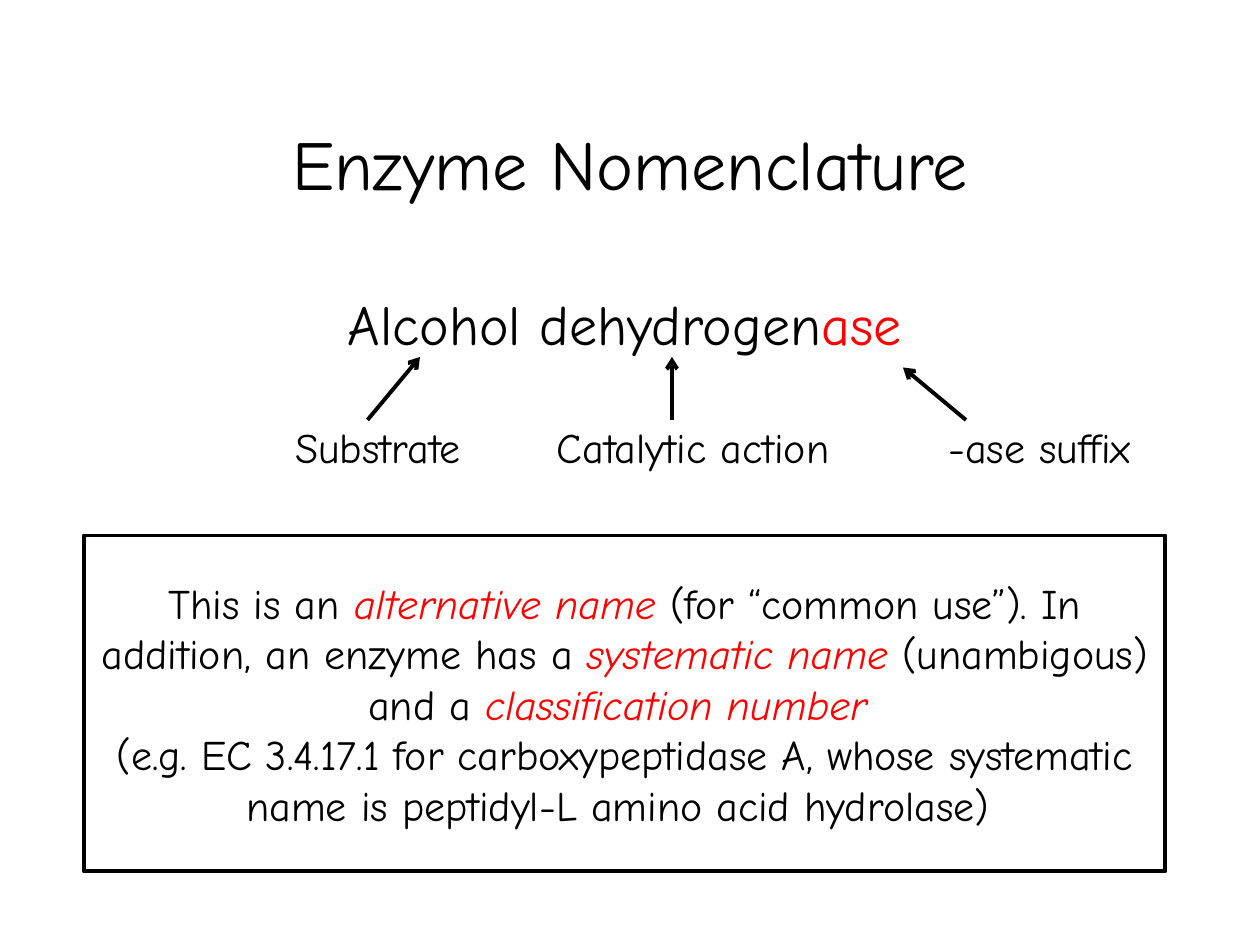
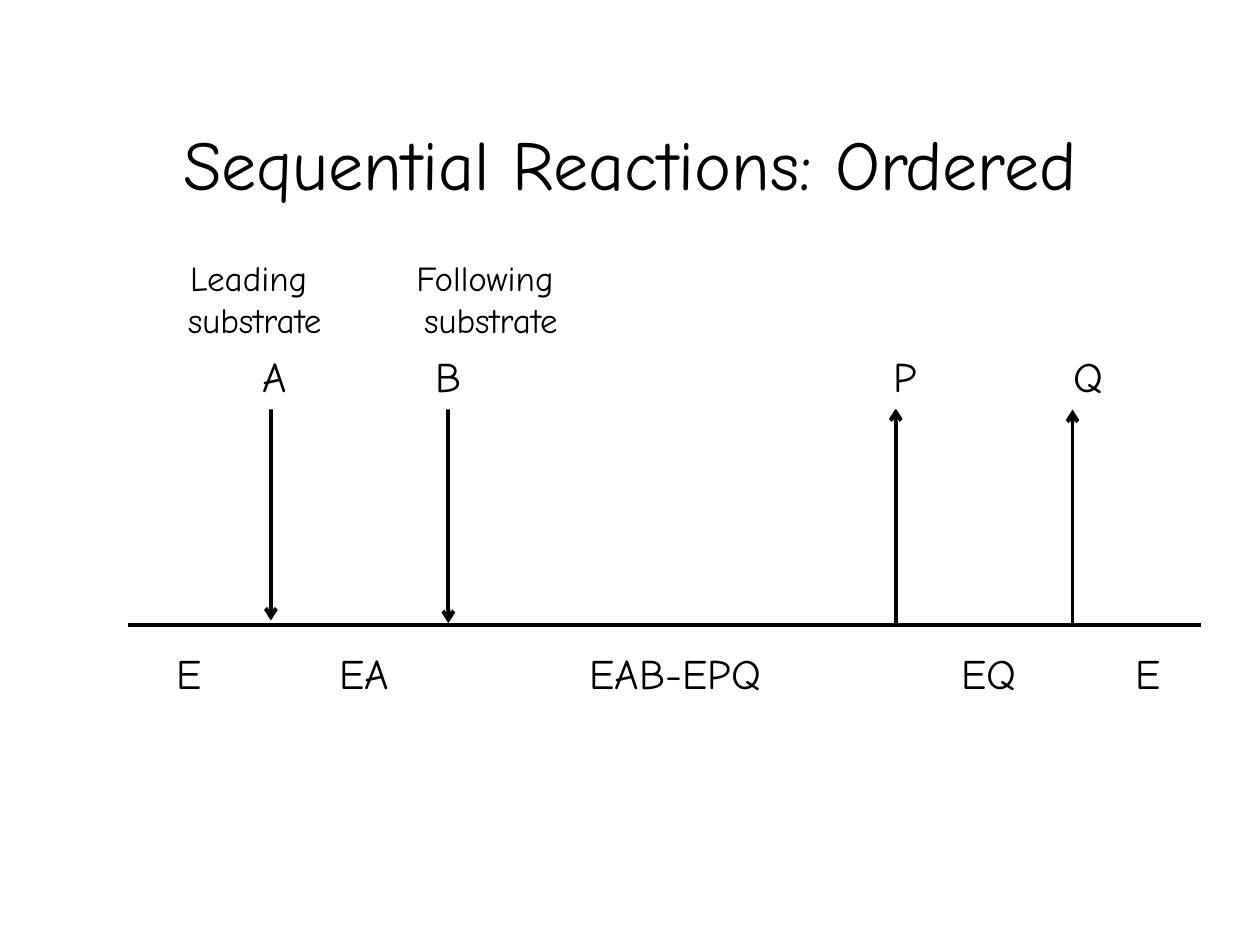
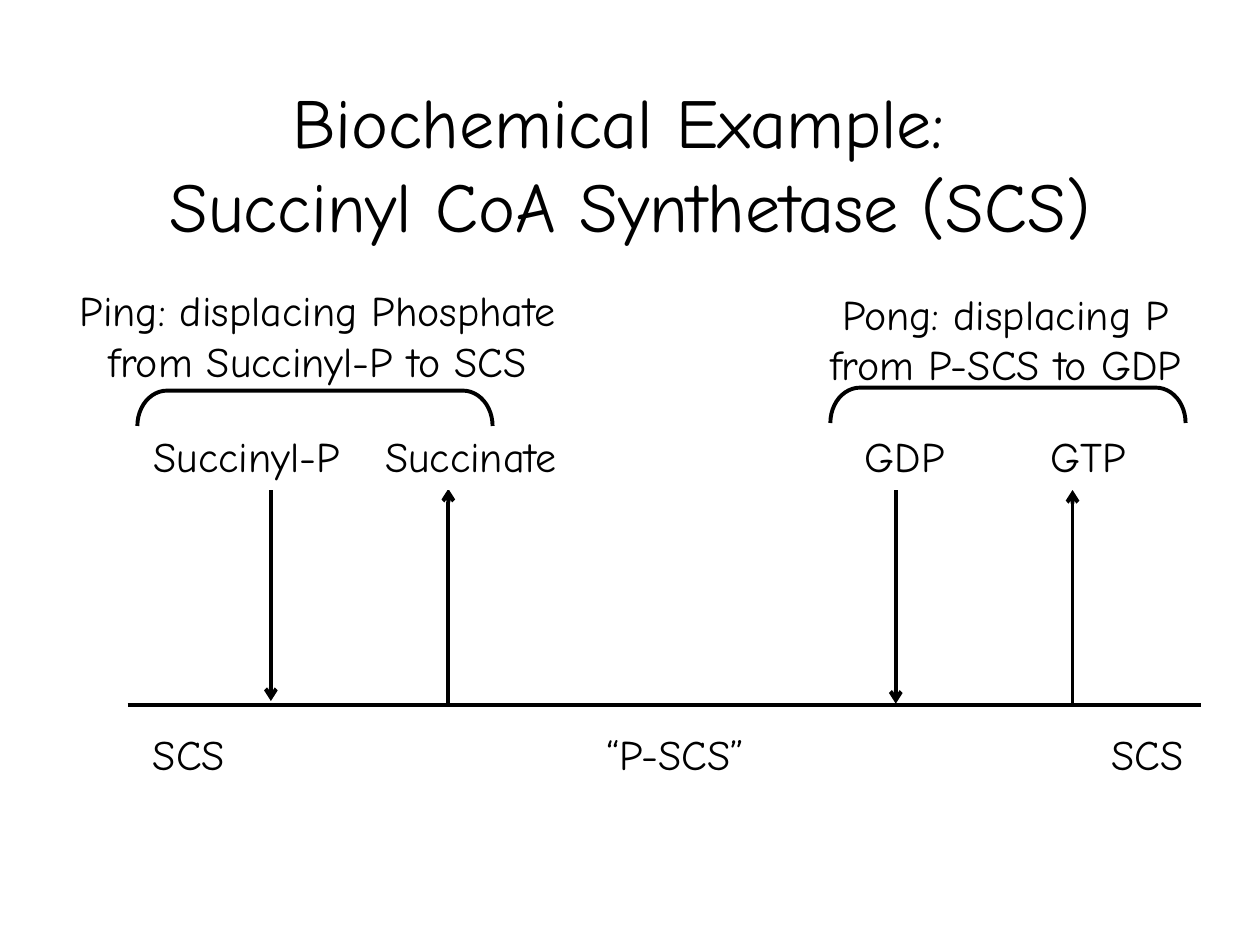
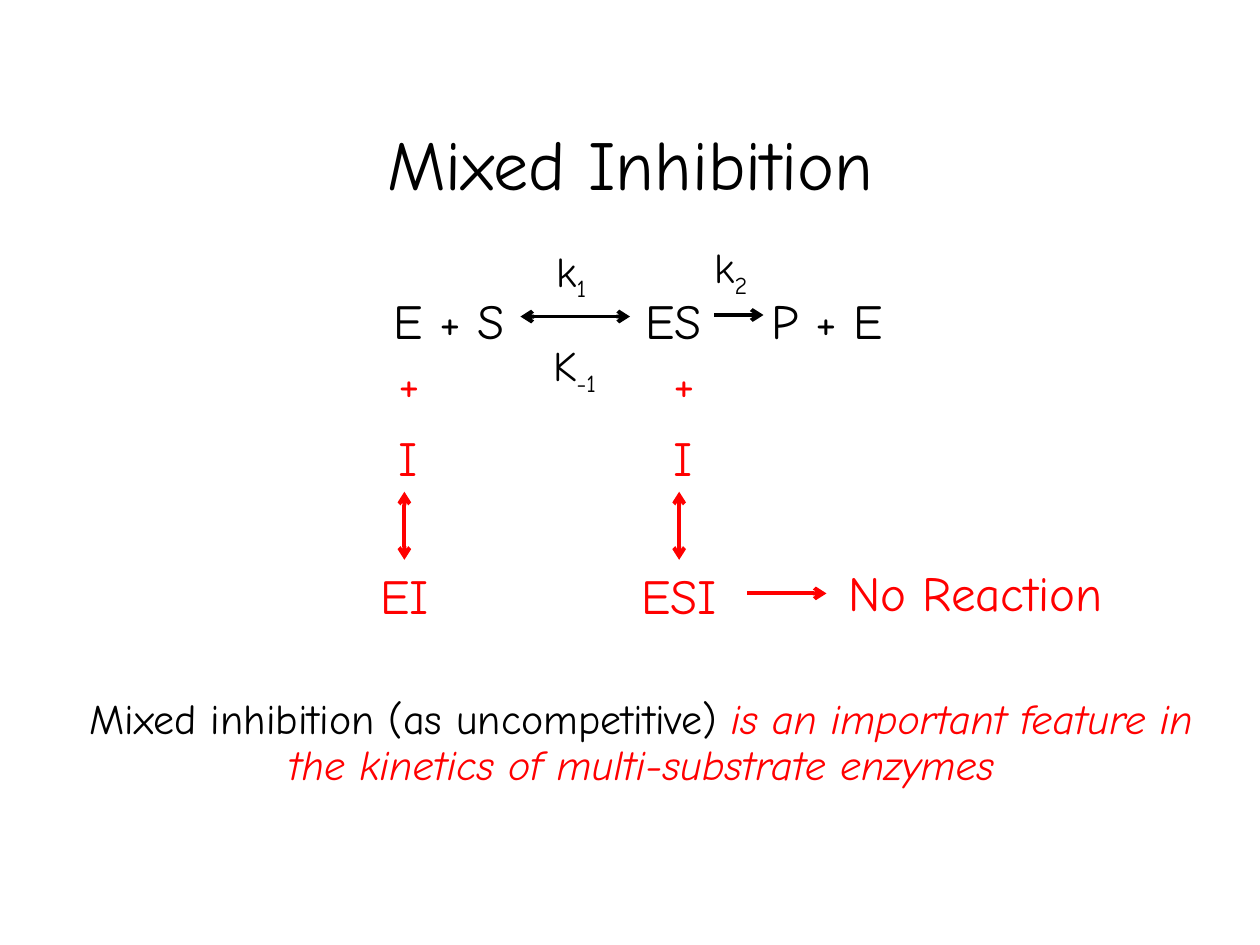
from dataclasses import dataclass
from math import cos, pi, sin

from pptx import Presentation
from pptx.dml.color import RGBColor
from pptx.enum.shapes import MSO_CONNECTOR, MSO_SHAPE
from pptx.enum.text import MSO_ANCHOR, MSO_AUTO_SIZE, PP_ALIGN
from pptx.oxml.ns import qn
from pptx.util import Pt
from lxml.etree import SubElement

COLORS = {"ink": "000000", "accent": "FF0000", "paper": "FFFFFF"}
FONT = "Comic Neue"
LINE_WIDTH = 2.25
TITLE_BOX = (54, 48, 612, 90)
LABEL_W, LABEL_H = 56.2, 38.9

Box = tuple[float, float, float, float]
Point = tuple[float, float]


@dataclass
class Run:
    text: str
    color: str = "ink"
    italic: bool = False
    subscript: bool = False


@dataclass
class Label:
    x: float
    text: str


@dataclass
class Station:
    """Arrow over the reaction line: its x and the rise of its top."""
    x: float
    rise: float


STATIONS = [Station(154.8, 125.3), Station(256.2, 123.8),
            Station(511.9, 123.8), Station(612.9, 123.1)]
ARROW_LENGTH = 122.8


def rgb(name: str) -> RGBColor:
    return RGBColor.from_string(COLORS[name])


def emphasis(text: str) -> Run:
    return Run(text, color="accent", italic=True)


def add_text(slide, box: Box, text: str | list[Run], *, size: float = 24,
             color: str = "ink", filled: bool = False, border: bool = False,
             wrap: bool = False, grow: bool = False, anchor=MSO_ANCHOR.MIDDLE,
             before: float = 0, spacing: float = 1.0, tabs: int = 0):
    """Centred text, in a plain text box or in a filled rectangle."""
    left, top, width, height = (Pt(v) for v in box)
    if filled:
        sp = slide.shapes.add_shape(MSO_SHAPE.RECTANGLE, left, top, width, height)
        sp.shadow.inherit = False
        sp.fill.solid()
        sp.fill.fore_color.rgb = rgb("paper")
        if border:
            sp.line.color.rgb = rgb("ink")
            sp.line.width = Pt(LINE_WIDTH)
        else:
            sp.line.fill.background()
    else:
        sp = slide.shapes.add_textbox(left, top, width, height)
    tf = sp.text_frame
    tf.word_wrap = wrap
    tf.vertical_anchor = anchor
    if grow:
        tf.auto_size = MSO_AUTO_SIZE.SHAPE_TO_FIT_TEXT
    p = tf.paragraphs[0]
    p.alignment = PP_ALIGN.CENTER
    p.space_before = Pt(before)
    p.line_spacing = spacing
    if tabs:
        tab_list = SubElement(p._p.get_or_add_pPr(), qn("a:tabLst"))
        for i in range(tabs):
            SubElement(tab_list, qn("a:tab"), pos=str(Pt(72 * i)), algn="l")
    runs = [Run(text, color)] if isinstance(text, str) else text
    for run in runs:
        for i, line in enumerate(run.text.split("\n")):
            if i:
                p.add_line_break()
            if not line:
                continue
            r = p.add_run()
            r.text = line
            r.font.name = FONT
            r.font.size = Pt(size)
            r.font.italic = run.italic
            r.font.color.rgb = rgb(run.color)
            if run.subscript:
                r.font._element.set("baseline", "-25000")
    return sp


def add_line(slide, start: Point, end: Point, *, color: str = "ink",
             head: bool = False, tail: bool = False):
    """Straight line; head puts an arrow at start, tail one at end."""
    c = slide.shapes.add_connector(MSO_CONNECTOR.STRAIGHT,
                                   *(Pt(v) for v in (*start, *end)))
    c.line.color.rgb = rgb(color)
    c.line.width = Pt(LINE_WIDTH)
    ln = c.line._get_or_add_ln()
    for tag, shown in (("a:headEnd", head), ("a:tailEnd", tail)):
        if shown:
            SubElement(ln, qn(tag), type="arrow")
    SubElement(c._element.spPr, qn("a:effectLst"))
    return c


def add_bracket(slide, left: float, top: float) -> None:
    """Open bracket with rounded upper corners."""
    width, rx, ry, steps = 203, 17, 20.2, 12
    angles = [pi / 2 * i / steps for i in range(steps + 1)]
    curve = [(rx * (1 - cos(a)), ry * (1 - sin(a))) for a in angles]
    points = curve + [(width - x, y) for x, y in reversed(curve)]
    points = [(Pt(left + x), Pt(top + y)) for x, y in points]
    builder = slide.shapes.build_freeform(*points[0])
    builder.add_line_segments(points[1:], close=False)
    sp = builder.convert_to_shape()
    sp.shadow.inherit = False
    sp.fill.background()
    sp.line.color.rgb = rgb("ink")
    sp.line.width = Pt(LINE_WIDTH)


def add_titled_slide(prs, title: str):
    s = prs.slides.add_slide(prs.slide_layouts[6])
    add_text(s, TITLE_BOX, title, size=40, wrap=True)
    return s


def add_reaction_scheme(slide, axis: float, directions: str,
                        enzymes: list[Label], ligands: list[Label]) -> None:
    """Enzyme line with arrows: 'd' binds (down), 'u' leaves (up)."""
    add_line(slide, (72.9, axis), (686.2, axis))
    for station, direction in zip(STATIONS, directions):
        top = axis - station.rise
        add_line(slide, (station.x, top), (station.x, top + ARROW_LENGTH),
                 head=direction == "u", tail=direction == "d")
    for labels, y in ((enzymes, axis + 7.9), (ligands, axis - 162)):
        for label in labels:
            add_text(slide, (label.x, y, LABEL_W, LABEL_H), label.text, filled=True)


def nomenclature_slide(prs) -> None:
    s = add_titled_slide(prs, "Enzyme Nomenclature")
    add_text(s, (150, 162, 414, 66),
             [Run("Alcohol dehydrogen"), Run("ase", "accent")],
             size=32, wrap=True, anchor=MSO_ANCHOR.TOP, before=8)
    # Parts of the name
    for label in (Label(132, "Substrate"), Label(312, "Catalytic action"),
                  Label(510, "-ase suffix")):
        add_text(s, (label.x, 228, 168, 54), label.text, filled=True)
    for start, end in (((210, 240), (240, 204)), ((384, 240), (384, 204)),
                       ((552, 240), (516, 210))):
        add_line(s, start, end, tail=True)
    # Framed explanation
    add_text(s, (48, 306, 618, 192), [
        Run("This is an "), emphasis("alternative name "),
        Run("(for “common use”). In addition, an enzyme has a "),
        emphasis("systematic name "), Run("(unambigous) and a "),
        emphasis("classification number \n"),
        Run("(e.g. EC 3.4.17.1 for carboxypeptidase A, whose systematic "
            "name is peptidyl-L amino acid hydrolase) "),
    ], filled=True, border=True, wrap=True)


def ordered_slide(prs) -> None:
    s = add_titled_slide(prs, "Sequential Reactions: Ordered")
    add_reaction_scheme(
        s, 357.1, "dduu",
        [Label(79.9, "E"), Label(180, "EA"), Label(357.8, "EAB-EPQ"),
         Label(537.1, "EQ"), Label(627.8, "E")],
        [Label(128.9, "A"), Label(228, "B"), Label(488.9, "P"), Label(594, "Q")])
    for label in (Label(85, "Leading \nsubstrate"),
                  Label(220, "Following \nsubstrate")):
        add_text(s, (label.x, 145, 121, 51.1), label.text, size=20, filled=True)


def ping_pong_slide(prs) -> None:
    s = add_titled_slide(prs, "Biochemical Example: \nSuccinyl CoA Synthetase (SCS)")
    add_reaction_scheme(
        s, 403.1, "dudu",
        [Label(79.9, "SCS"), Label(357.8, "“P-SCS”"), Label(627.8, "SCS")],
        [Label(113, "Succinyl-P"), Label(241, "Succinate"),
         Label(488.9, "GDP"), Label(594, "GTP")])
    # Half reactions
    add_bracket(s, 78.5, 223.2)
    add_bracket(s, 474.5, 221.5)
    add_text(s, (23, 172.1, 316.8, LABEL_H),
             "Ping: displacing Phosphate from Succinyl-P to SCS", wrap=True)
    add_text(s, (454, 174.2, 241.2, LABEL_H),
             "Pong: displacing P from P-SCS to GDP", wrap=True)


def mixed_inhibition_slide(prs) -> None:
    s = add_titled_slide(prs, "Mixed Inhibition")
    # Uninhibited reaction with its rate constants
    add_text(s, (145, 140, 439.2, 85), "E + S \tES \tP + E",
             size=28, filled=True, tabs=8)
    for x, y, symbol, index in ((312, 144, "k", "1"), (313.9, 198, "K", "-1"),
                                (403.2, 141.8, "k", "2")):
        add_text(s, (x, y, 28.8, 25.2),
                 [Run(symbol), Run(index, subscript=True)], filled=True)
    add_line(s, (297.4, 180.9), (360, 180.9), head=True, tail=True)
    add_line(s, (408.2, 180), (436.3, 180), tail=True)
    # Inhibitor binding to E and to ES
    for center, product in ((231.1, "EI"), (388.1, "ESI")):
        for text, shift, y in (("+", 2.9, 199), ("I", 2, 242)):
            add_text(s, (center + shift - 18, y, 36, 38.2), text,
                     size=28, color="accent", filled=True)
        add_text(s, (center - 28.8, 319.7, 57.6, 41), product, size=28,
                 color="accent", grow=True, anchor=MSO_ANCHOR.TOP)
        add_line(s, (center, 281), (center, 319.9), color="accent",
                 head=True, tail=True)
    # Dead end
    add_text(s, (477.4, 317.8, 159.8, 41), "No Reaction", size=28,
             color="accent", grow=True, anchor=MSO_ANCHOR.TOP)
    add_line(s, (427, 339.1), (472.3, 339.1), color="accent", tail=True)
    # Conclusion
    add_text(s, (33.8, 395.6, 665.3, 59), [
        Run("Mixed inhibition (as uncompetitive) "),
        emphasis("is an important feature in the kinetics of "
                 "multi-substrate enzymes"),
    ], wrap=True, grow=True, anchor=MSO_ANCHOR.TOP, before=15, spacing=0.9)


prs = Presentation()
prs.slide_width, prs.slide_height = Pt(720), Pt(540)
for build in (nomenclature_slide, ordered_slide, ping_pong_slide,
              mixed_inhibition_slide):
    build(prs)
prs.save("out.pptx")
